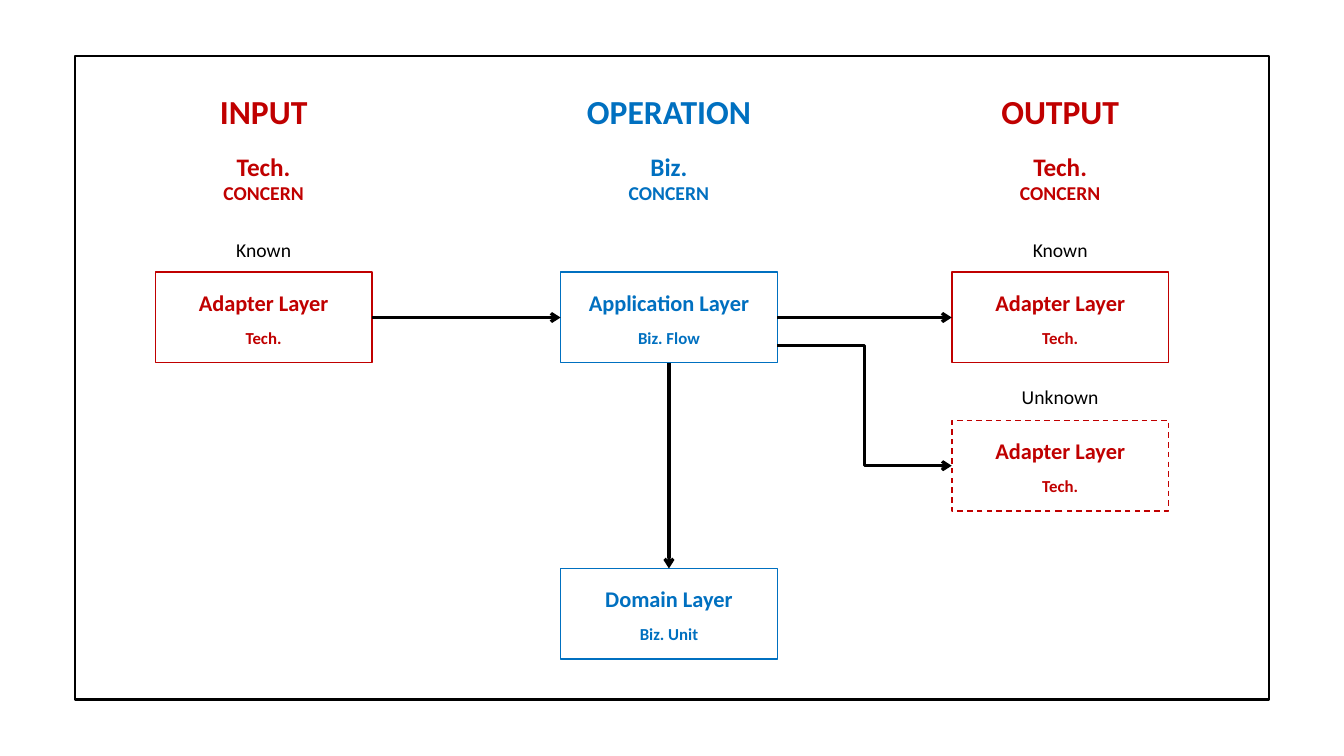
from lxml import etree
from pptx import Presentation
from pptx import util as u
from pptx.dml.color import RGBColor
from pptx.enum import dml, shapes, text
from pptx.oxml.ns import qn

THEME = {
    "font": "Calibri",
    "tech": RGBColor(0xC0, 0x00, 0x00),
    "biz": RGBColor(0x00, 0x70, 0xC0),
    "ink": RGBColor(0x00, 0x00, 0x00),
    "heading": 24, "concern": 18, "layer": 16, "label": 14, "detail": 12,
}
BOX_W, BOX_H = 2.15, 0.9
CENTERS = {"input": 2.615, "operation": 6.635, "output": 10.515}

prs = Presentation()
prs.slide_width, prs.slide_height = u.Inches(13.33), u.Inches(7.5)
s = prs.slides.add_slide(prs.slide_layouts[6])


def add_text(center, top, width, height, color, lines, bold=True):
    tb = s.shapes.add_textbox(u.Inches(center - width / 2), u.Inches(top),
                              u.Inches(width), u.Inches(height))
    tf = tb.text_frame
    tf.word_wrap = False
    tf.auto_size = text.MSO_AUTO_SIZE.SHAPE_TO_FIT_TEXT
    for i, (words, size) in enumerate(lines):
        p = tf.paragraphs[0] if i == 0 else tf.add_paragraph()
        p.alignment = text.PP_ALIGN.CENTER
        r = p.add_run()
        r.text = words
        font = {"name": THEME["font"], "size": u.Pt(THEME[size]), "bold": bold}
        for key, value in font.items():
            setattr(r.font, key, value)
        r.font.color.rgb = THEME[color]


def add_rect(left, top, width, height, color, weight):
    sp = s.shapes.add_shape(shapes.MSO_SHAPE.RECTANGLE, u.Inches(left), u.Inches(top),
                            u.Inches(width), u.Inches(height))
    sp.shadow.inherit = False
    sp.fill.background()
    sp.line.color.rgb = THEME[color]
    sp.line.width = u.Pt(weight)
    return sp


add_rect(0.74, 0.56, 11.85, 6.38, "ink", 1.5)

columns = [
    ("input", "INPUT", 1.08, "Tech.", "tech"),
    ("operation", "OPERATION", 1.84, "Biz.", "biz"),
    ("output", "OUTPUT", 1.38, "Tech.", "tech"),
]
for column, heading, width, concern, color in columns:
    add_text(CENTERS[column], 0.85, width, 0.5, color, [(heading, "heading")])
    add_text(CENTERS[column], 1.45, 1.01, 0.64, color,
             [(concern, "concern"), ("CONCERN", "label")])

layers = [
    ("source", "input", 2.7, "tech", "Adapter Layer", 1.51, "Tech.", 0.56),
    ("application", "operation", 2.7, "biz", "Application Layer", 1.81, "Biz. Flow", 0.83),
    ("domain", "operation", 5.64, "biz", "Domain Layer", 1.48, "Biz. Unit", 0.79),
    ("known", "output", 2.7, "tech", "Adapter Layer", 1.51, "Tech.", 0.56),
    ("unknown", "output", 4.17, "tech", "Adapter Layer", 1.51, "Tech.", 0.56),
]
boxes = {}
for name, column, top, color, layer, layer_w, detail, detail_w in layers:
    center = CENTERS[column]
    boxes[name] = add_rect(center - BOX_W / 2, top, BOX_W, BOX_H, color, 1)
    add_text(center, top + 0.12, layer_w, 0.37, color, [(layer, "layer")])
    add_text(center, top + 0.5, detail_w, 0.3, color, [(detail, "detail")])
boxes["unknown"].line.dash_style = dml.MSO_LINE.DASH

labels = [("input", 2.31, "Known", 0.75), ("output", 2.31, "Known", 0.75),
          ("output", 3.77, "Unknown", 0.97)]
for column, top, words, width in labels:
    add_text(CENTERS[column], top, width, 0.34, "ink", [(words, "label")], bold=False)

STRAIGHT, ELBOW = shapes.MSO_CONNECTOR.STRAIGHT, shapes.MSO_CONNECTOR.ELBOW
arrows = [
    (STRAIGHT, "source", 3, "application", 1),
    (STRAIGHT, "application", 3, "known", 1),
    (STRAIGHT, "application", 2, "domain", 0),
    (ELBOW, "application", None, "unknown", 1),
]
for kind, start, start_side, end, end_side in arrows:
    box = boxes[start]
    x, y = box.left + box.width, u.Inches(3.43)
    c = s.shapes.add_connector(kind, x, y, x, y)
    if start_side is not None:
        c.begin_connect(boxes[start], start_side)
    c.end_connect(boxes[end], end_side)
    c.line.color.rgb = THEME["ink"]
    c.line.width = u.Pt(2.25)
    etree.SubElement(c.line._get_or_add_ln(), qn("a:tailEnd"), type="arrow")
    etree.SubElement(c._element.spPr, qn("a:effectLst"))

prs.save("out.pptx")
